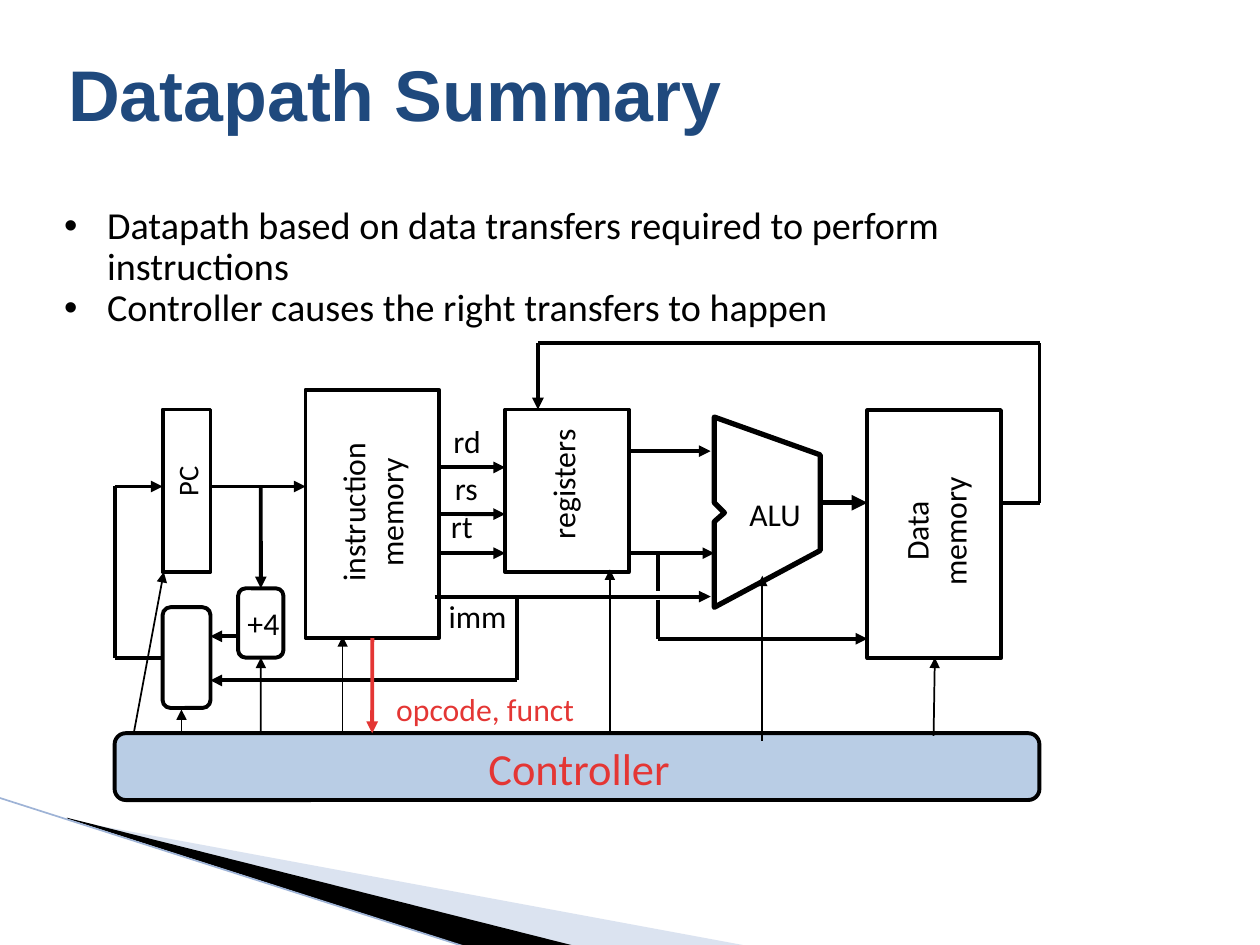
from itertools import pairwise
from lxml import etree
from pptx import Presentation
from pptx import util as u
from pptx.dml.color import RGBColor
from pptx.enum import shapes, text
from pptx.oxml.ns import qn

Pt = u.Pt
BLACK, WHITE, RED, NAVY = "000000", "FFFFFF", "E43634", "1F497D"


def hue(code):
    return RGBColor.from_string(code)


def wire(spots, arrow=True, color=BLACK, width=2.25, start=None, stop=None):
    legs = list(pairwise(spots))
    for n, (a, b) in enumerate(legs):
        line = slide.shapes.add_connector(
            shapes.MSO_CONNECTOR.STRAIGHT, *[Pt(v) for v in (*a, *b)])
        if start and n == 0:
            line.begin_connect(*start)
        if stop and n == len(legs) - 1:
            line.end_connect(*stop)
        line.line.width = Pt(width)
        line.line.color.rgb = hue(color)
        props = line._element.spPr
        if arrow and n == len(legs) - 1:
            etree.SubElement(props.find(qn("a:ln")), qn("a:tailEnd"), type="triangle")
        etree.SubElement(props, qn("a:effectLst"))


deck = Presentation()
deck.slide_width, deck.slide_height = Pt(720), Pt(540)
slide = deck.slides.add_slide(deck.slide_layouts[6])

swoops = [
    ([(39.6, 468.7), (428.4, 540.7), (328.3, 540.7), (39.6, 468)], "A7B9DB", 40),
    ([(38.2, 467.3), (329, 540.7), (267.8, 541.4), (38.9, 468)], BLACK, 100),
]
for spots, color, alpha in swoops:
    spots = [(Pt(x), Pt(y)) for x, y in spots]
    pen = slide.shapes.build_freeform(*spots[0], scale=1.0)
    pen.add_line_segments(spots[1:], close=True)
    swoop = pen.convert_to_shape()
    swoop.shadow.inherit = False
    swoop.fill.solid()
    swoop.fill.fore_color.rgb = hue(color)
    swoop.line.fill.background()
    if alpha < 100:
        tint = swoop._element.spPr.find(qn("a:solidFill"))[0]
        etree.SubElement(tint, qn("a:alpha"), val=str(alpha * 1000))
wire([(-0.7, 455.8), (267.1, 541.4)], False, "9EB3D6", 0.95)

title = slide.shapes.add_textbox(Pt(36), Pt(21.6), Pt(648), Pt(90)).text_frame
title.word_wrap = True
title.margin_left = title.margin_right = title.margin_bottom = Pt(2.9)
title.margin_top = Pt(7)
run = title.paragraphs[0].add_run()
run.text = "Datapath Summary"
run.font.name, run.font.size, run.font.bold = "Arial", Pt(41), True
run.font.color.rgb = hue(NAVY)

body = slide.shapes.add_textbox(Pt(33.1), Pt(114.5), Pt(588.2), Pt(375.8)).text_frame
body.word_wrap = True
body.margin_left = body.margin_right = body.margin_top = body.margin_bottom = Pt(3.6)
points = [
    "Datapath based on data transfers required to perform instructions",
    "Controller causes the right transfers to happen",
]
for n, words in enumerate(points):
    para = body.add_paragraph() if n else body.paragraphs[0]
    para.line_spacing = 0.9
    props = para._p.get_or_add_pPr()
    props.set("marL", str(Pt(24.5)))
    props.set("indent", str(-Pt(24.5)))
    etree.SubElement(props, qn("a:buFont"), typeface="Arial")
    etree.SubElement(props, qn("a:buChar"), char="•")
    run = para.add_run()
    run.text = words
    run.font.name, run.font.size = "Calibri", Pt(21.8)
    run.font.color.rgb = hue(BLACK)

blocks = [
    ("pc", 92.9, 234, 27.4, 92.9, False, WHITE),
    ("code", 174.6, 222.8, 76.3, 141.8, False, WHITE),
    ("plus", 136.1, 336.2, 25.9, 39.6, True, WHITE),
    ("regs", 288.7, 234, 70.6, 92.9, False, WHITE),
    ("data", 495.7, 234.4, 76.3, 141.8, False, WHITE),
    ("next", 92.9, 347, 27.4, 57.6, True, WHITE),
    ("control", 65.5, 419, 528.5, 38.2, True, "B9CDE5"),
]
box = {}
for name, x, y, w, h, is_round, color in blocks:
    kind = shapes.MSO_SHAPE.ROUNDED_RECTANGLE if is_round else shapes.MSO_SHAPE.RECTANGLE
    block = slide.shapes.add_shape(kind, Pt(x), Pt(y), Pt(w), Pt(h))
    block.shadow.inherit = False
    block.fill.solid()
    block.fill.fore_color.rgb = hue(color)
    block.line.color.rgb = hue(BLACK)
    block.line.width = Pt(2.25)
    if is_round:
        block.adjustments[0] = 0.167
    box[name] = block

spots = [(408.2, 238.3), (468.7, 259.9), (468.7, 314.6), (408.2, 347),
         (408.2, 298.1), (414, 293), (408.2, 287.3)]
spots = [(Pt(x), Pt(y)) for x, y in spots]
pen = slide.shapes.build_freeform(*spots[0], scale=1.0)
pen.add_line_segments(spots[1:], close=True)
alu = pen.convert_to_shape()
alu.shadow.inherit = False
alu.fill.solid()
alu.fill.fore_color.rgb = hue(WHITE)
alu.line.color.rgb = hue(BLACK)
alu.line.width = Pt(3)

routes = [
    [(120.2, 278), (174.6, 278)],
    [(251, 267.1), (288.7, 267.1)],
    [(251, 316.1), (288.7, 316.1)],
    [(359.3, 316.1), (408.2, 316.1)],
    [(248.4, 340.9), (406.1, 340.9)],
    [(359.3, 257.8), (406.1, 257.8)],
    [(375.8, 342.7), (375.8, 365), (495.7, 365)],
    [(572, 287.3), (594, 287.3), (594, 195.8), (307.4, 195.8), (307.4, 234)],
    [(136.1, 363.6), (120.2, 363.6)],
    [(295.2, 340.9), (295.2, 388.8), (120.2, 388.8)],
    [(92.9, 375.8), (65.5, 375.8), (65.5, 278), (92.9, 278)],
]
for route in routes:
    wire(route)
wire([(375.8, 316.1), (375.8, 337.7)], False)
wire([(468.7, 287.3), (495.7, 287.3)], width=3)
wire([(251, 293.8), (288.7, 293.8)], start=(box["code"], 3))
wire([(149, 278), (149, 336.2)], stop=(box["plus"], 0))
wire([(212.7, 364.6), (212.7, 419)], color=RED, start=(box["code"], 2))

wire([(149, 419), (149, 375.8)], width=1, stop=(box["plus"], 2))
signals = [
    (103.7, 419, 103.7, 405.4), (76.3, 419.8, 93.6, 326.9),
    (195.8, 419, 195.8, 363.6), (348.5, 419, 348.5, 325.4),
    (435.6, 423.4, 435.6, 329), (533.5, 420.5, 534.2, 375.8),
]
for a, b, c, d in signals:
    wire([(a, b), (c, d)], width=1)

labels = [
    (["PC"], 91.4, 262.8, 31, 27.4, 270, 16.3, BLACK),
    (["instruction", "memory"], 165.6, 268.6, 93.6, 51.1, 270, 18.1, BLACK),
    (["+4"], 133.2, 342, 31.7, 27.4, 0, 18.1, BLACK),
    (["rt"], 249.1, 285.8, 26.6, 29.5, 0, 18.1, BLACK),
    (["rs"], 251.3, 264.2, 27.4, 29.5, 0, 18.1, BLACK),
    (["rd"], 250.6, 236.9, 29.5, 29.5, 0, 18.1, BLACK),
    (["registers"], 283, 263.5, 77, 29.5, 270, 18.1, BLACK),
    (["Data", "memory"], 496.1, 279.4, 76.3, 51.1, 270, 18.1, BLACK),
    (["imm"], 247.7, 337, 47.5, 29.5, 0, 18.1, BLACK),
    (["ALU"], 419.8, 278.6, 43.2, 29.5, 0, 18.1, BLACK),
    (["Controller"], 270, 420.5, 118.8, 36, 0, 25.4, RED),
    (["opcode, funct"], 217.4, 390.2, 116.6, 29.5, 0, 18.1, RED),
]
for lines, x, y, w, h, turn, size, color in labels:
    label = slide.shapes.add_textbox(Pt(x), Pt(y), Pt(w), Pt(h))
    label.rotation = turn
    frame = label.text_frame
    frame.word_wrap = False
    frame.auto_size = text.MSO_AUTO_SIZE.SHAPE_TO_FIT_TEXT
    frame.vertical_anchor = text.MSO_ANCHOR.MIDDLE
    frame.margin_left = frame.margin_right = frame.margin_top = frame.margin_bottom = Pt(3.6)
    for n, words in enumerate(lines):
        para = frame.add_paragraph() if n else frame.paragraphs[0]
        para.alignment = text.PP_ALIGN.CENTER
        para._p.get_or_add_pPr().set("marL", str(Pt(3)))
        run = para.add_run()
        run.text = words
        run.font.name, run.font.size = "Calibri", Pt(size)
        run.font.color.rgb = hue(color)

deck.save("out.pptx")
